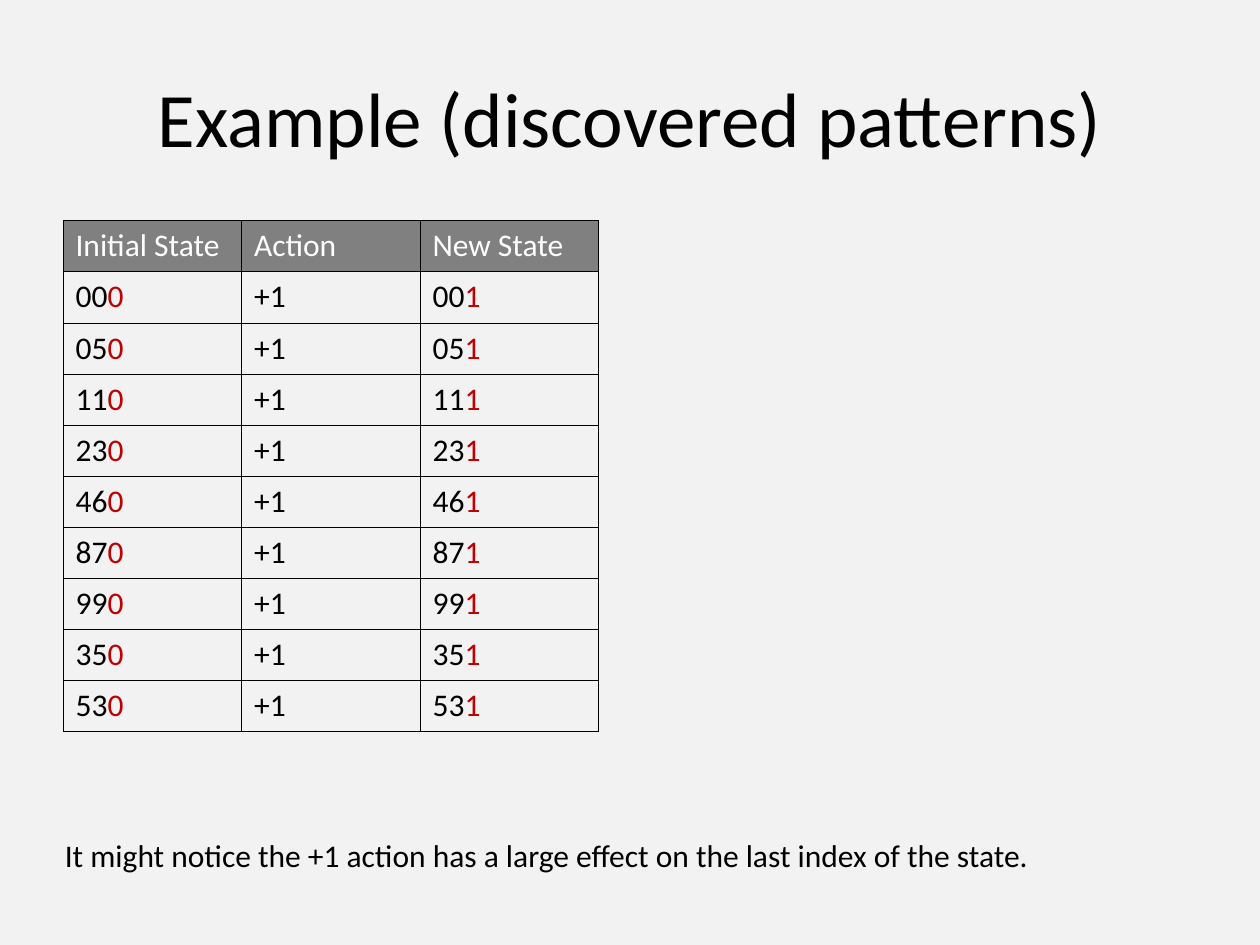
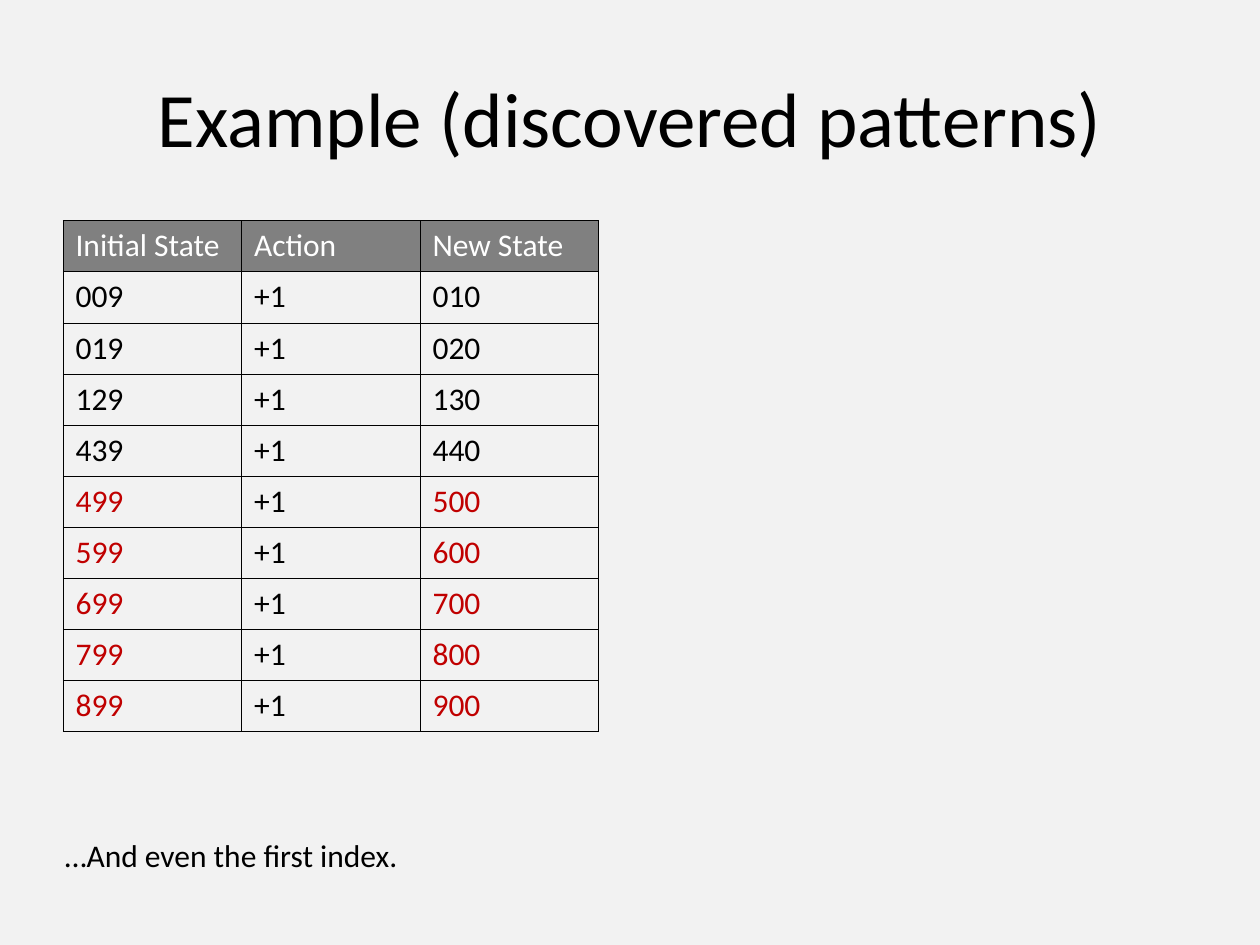
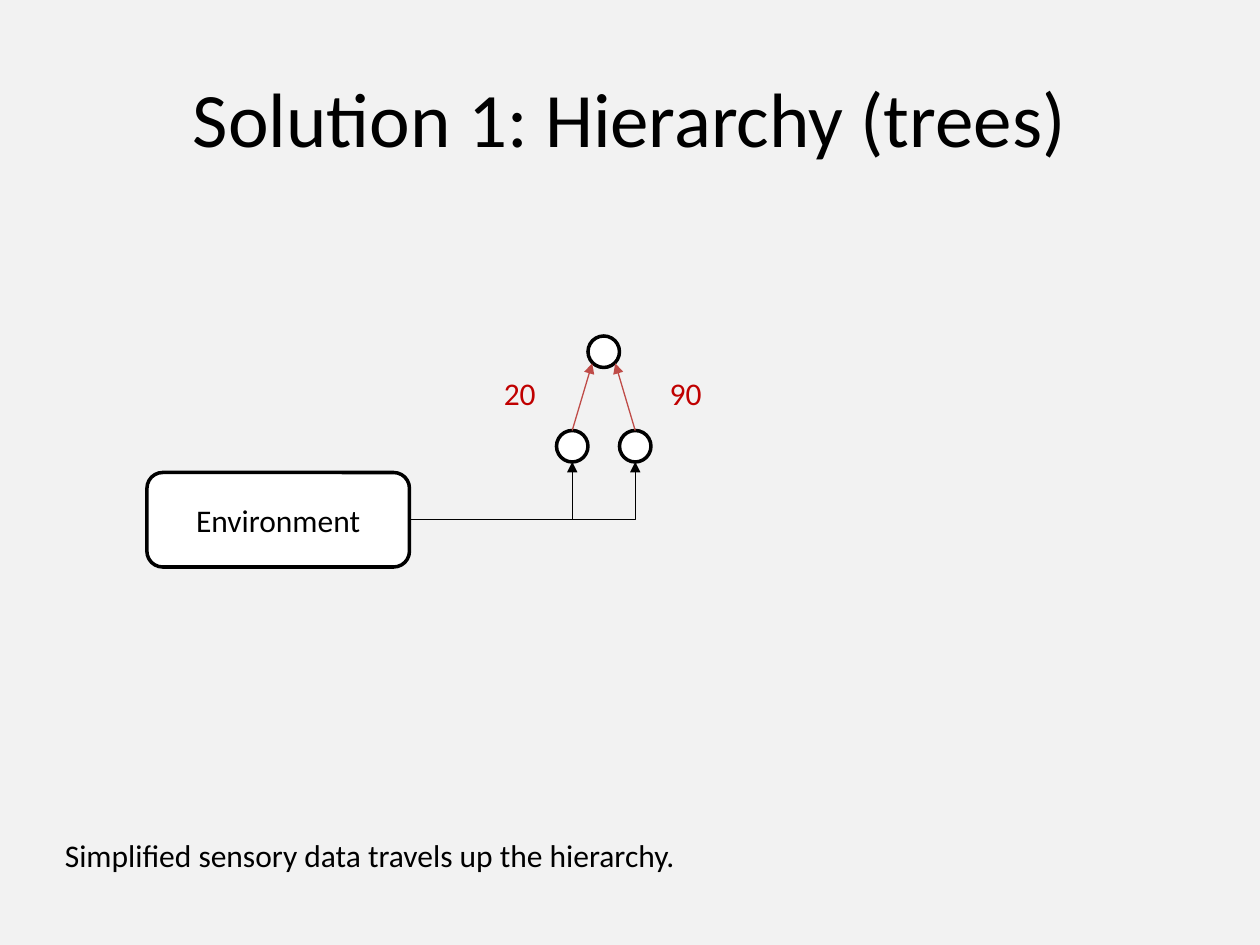
from lxml.etree import SubElement
from pptx import Presentation
from pptx.dml.color import RGBColor as RGB
from pptx.enum.shapes import MSO_CONNECTOR as LINK, MSO_SHAPE as KIND
from pptx.enum.text import MSO_ANCHOR as ANCHOR, MSO_AUTO_SIZE as FIT, PP_ALIGN as ALIGN
from pptx.oxml import parse_xml
from pptx.oxml.ns import nsdecls, qn
from pptx.util import Emu, Pt

PX = 7620
FONT = "Calibri"
BLACK = RGB(0x00, 0x00, 0x00)
WHITE = RGB(0xFF, 0xFF, 0xFF)
PALE = RGB(0xF2, 0xF2, 0xF2)
GREY = RGB(0x80, 0x80, 0x80)
RED = RGB(0xC0, 0x00, 0x00)
ROSE = RGB(0xBF, 0x4C, 0x48)

TITLE = (60, 36, 1080, 150)
GRID = (60, 210, 510, 487)
NOTE = (50, 790, 1090, 48)
TREE = (140, 320, 480, 220)
HEADS = ("Initial State", "Action", "New State")
ONES = ("000", "050", "110", "230", "460", "870", "990", "350", "530")
NINES = ("009", "019", "129", "439", "499", "599", "699", "799", "899")


def emu(*sizes):
    """Turn px lengths into EMU."""
    return [Emu(round(size * PX)) for size in sizes]


def write(para, text, color=BLACK, size=18):
    """Add one run to a paragraph."""
    run = para.add_run()
    run.text = text
    run.font.name = FONT
    run.font.size = Pt(size)
    run.font.color.rgb = color


def label(slide, box, text, color=BLACK, wrap=True):
    """Add a text box that grows with its text."""
    frame = slide.shapes.add_textbox(*emu(*box)).text_frame
    frame.word_wrap = wrap
    frame.auto_size = FIT.SHAPE_TO_FIT_TEXT
    write(frame.paragraphs[0], text, color)


def page(deck, title, note):
    """Add a slide with its title and its bottom note."""
    slide = deck.slides.add_slide(deck.slide_layouts[5])
    head = slide.shapes.title
    head.left, head.top, head.width, head.height = emu(*TITLE)
    head.text_frame.vertical_anchor = ANCHOR.MIDDLE
    para = head.text_frame.paragraphs[0]
    para.alignment = ALIGN.CENTER
    write(para, title, size=44)
    label(slide, NOTE, note)
    return slide


def edge(cell):
    """Draw thin black borders around a table cell."""
    props = cell._tc.get_or_add_tcPr()
    for spot, side in enumerate("LRTB"):
        props.insert(spot, parse_xml(
            f'<a:ln{side} {nsdecls("a")} w="3175"><a:solidFill>'
            f'<a:srgbClr val="{BLACK}"/></a:solidFill></a:ln{side}>'))


def grid(slide, box, starts, cut):
    """Add the table of states, red from the digit that cut gives."""
    rows = [[[(head, WHITE)] for head in HEADS]]
    for old in starts:
        new = f"{int(old) + 1:03d}"
        at = cut(old)
        first, last = ([(state[:at], BLACK), (state[at:], RED)] for state in (old, new))
        rows.append([first, [("+1", BLACK)], last])
    table = slide.shapes.add_table(len(rows), len(HEADS), *emu(*box)).table
    table.first_row = table.horz_banding = False
    for r, row in enumerate(rows):
        for c, parts in enumerate(row):
            cell = table.cell(r, c)
            if r:
                cell.fill.background()
            else:
                cell.fill.solid()
                cell.fill.fore_color.rgb = GREY
            edge(cell)
            for text, color in parts:
                if text:
                    write(cell.text_frame.paragraphs[0], text, color)


def node(slide, kind, box):
    """Add a white shape with a black outline."""
    shape = slide.shapes.add_shape(kind, *emu(*box))
    shape.shadow.inherit = False
    shape.fill.solid()
    shape.fill.fore_color.rgb = WHITE
    shape.line.color.rgb = BLACK
    shape.line.width = Pt(2)
    return shape


def arrow(slide, kind, ends, color):
    """Add a thin connector with a triangle at its end."""
    link = slide.shapes.add_connector(kind, *emu(*ends))
    link.line.color.rgb = color
    link.line.width = Pt(0.75)
    SubElement(link.line._get_or_add_ln(), qn("a:tailEnd"), type="triangle")
    SubElement(link._element.spPr, qn("a:effectLst"))
    return link


def tree(slide, box):
    """Draw the environment that feeds two leaves below one root."""
    x, y, wide, high = box
    size, mid = 30, x + 435
    leaf = y + 90
    node(slide, KIND.OVAL, (mid - 15, y, size, size))
    room = node(slide, KIND.ROUNDED_RECTANGLE, (x, y + 130, 250, 90))
    frame = room.text_frame
    frame.vertical_anchor = ANCHOR.MIDDLE
    frame.paragraphs[0].alignment = ALIGN.CENTER
    write(frame.paragraphs[0], "Environment")
    for side, text, left in ((-1, "20", x + 328), (1, "90", x + 486)):
        hub = mid + side * 30
        dot = node(slide, KIND.OVAL, (hub - 15, leaf, size, size))
        rise = arrow(slide, LINK.STRAIGHT, (hub, leaf, mid + side * 11, y + 26), ROSE)
        rise.begin_connect(dot, 0)
        feed = arrow(slide, LINK.ELBOW, (x + 250, y + 175, hub, leaf + size), BLACK)
        feed._element.spPr.find(qn("a:prstGeom")).set("prst", "bentConnector2")
        feed.begin_connect(room, 3)
        feed.end_connect(dot, 2)
        feed._element.find(".//" + qn("a:endCxn")).set("idx", "4")
        label(slide, (left, y + 30, 55, 48), text, RED, wrap=False)


def main():
    """Build the three slides and save them."""
    deck = Presentation()
    deck.slide_width, deck.slide_height = emu(1200, 900)
    back = deck.slide_master.background.fill
    back.solid()
    back.fore_color.rgb = PALE
    found = "Example (discovered patterns)"
    slide = page(deck, found, "It might notice the +1 action has a large effect "
                 "on the last index of the state.")
    grid(slide, GRID, ONES, lambda old: 2)
    slide = page(deck, found, "…And even the first index.")
    grid(slide, GRID, NINES, lambda old: 0 if old.endswith("99") else 3)
    slide = page(deck, "Solution 1: Hierarchy (trees)",
                 "Simplified sensory data travels up the hierarchy.")
    tree(slide, TREE)
    deck.save("out.pptx")


if __name__ == "__main__":
    main()
